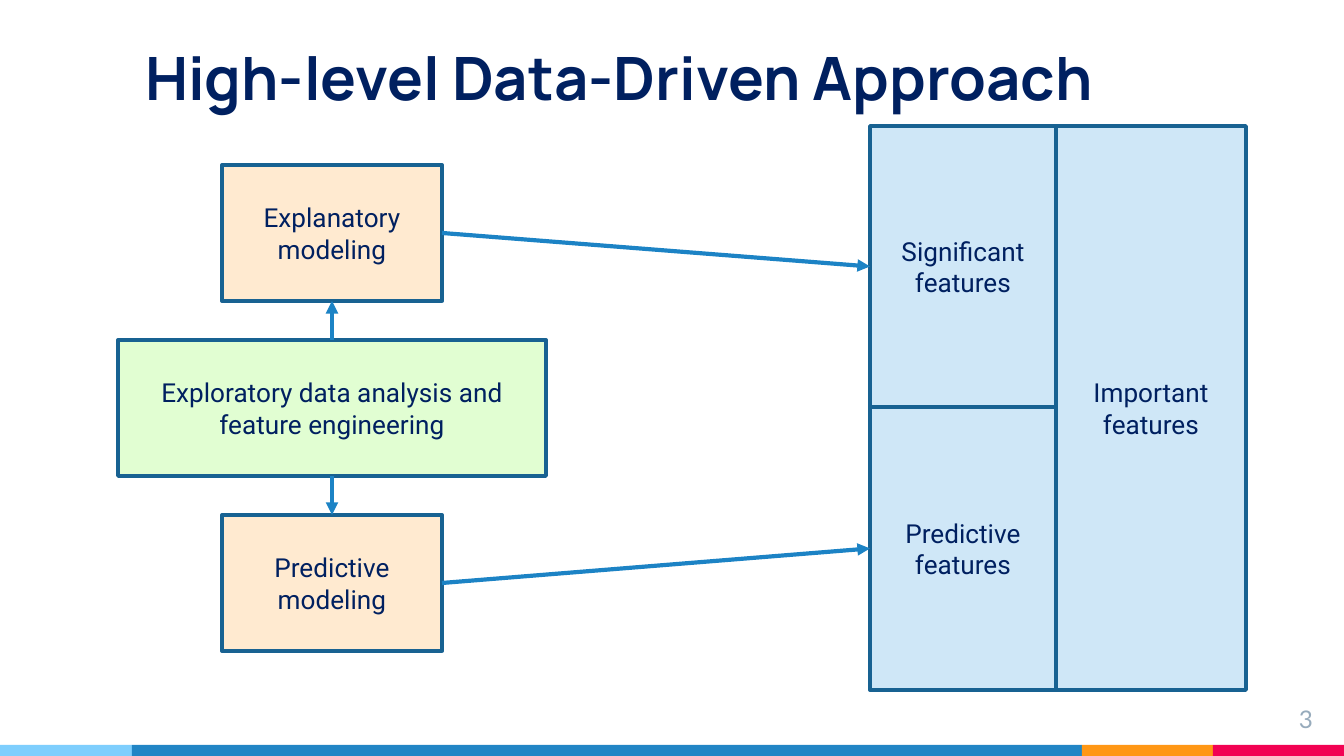
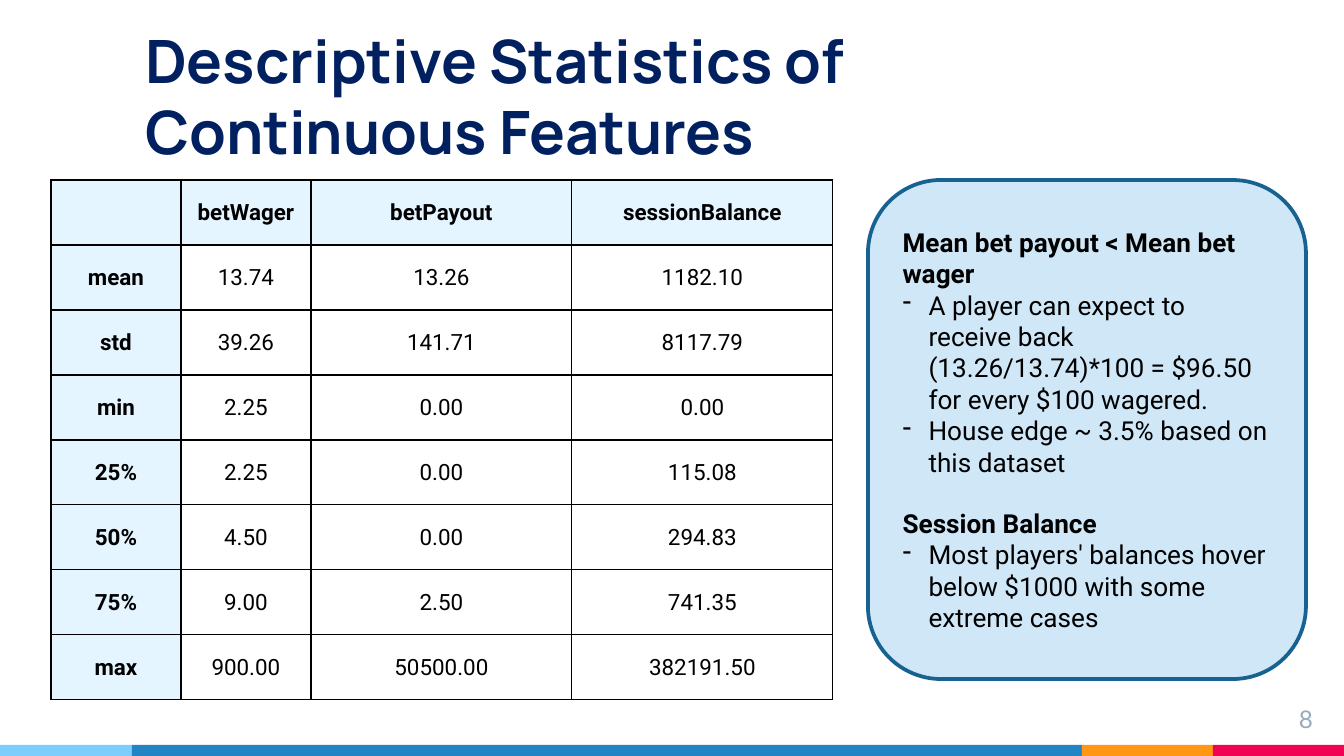
from dataclasses import dataclass

from lxml import etree
from pptx import Presentation
from pptx.dml.color import RGBColor
from pptx.enum.shapes import MSO_CONNECTOR, MSO_SHAPE
from pptx.enum.text import MSO_ANCHOR, MSO_AUTO_SIZE, PP_ALIGN
from pptx.oxml.ns import qn
from pptx.util import Emu, Pt

RECTANGLE, ROUNDED = MSO_SHAPE.RECTANGLE, MSO_SHAPE.ROUNDED_RECTANGLE
STRAIGHT = MSO_CONNECTOR.STRAIGHT
TOP, MIDDLE, BOTTOM = MSO_ANCHOR.TOP, MSO_ANCHOR.MIDDLE, MSO_ANCHOR.BOTTOM
LEFT, CENTER, RIGHT = PP_ALIGN.LEFT, PP_ALIGN.CENTER, PP_ALIGN.RIGHT
SIDE_TOP, SIDE_LEFT, SIDE_BOTTOM, SIDE_RIGHT = range(4)

SLIDE_WIDTH, SLIDE_HEIGHT = 1344, 756
EMU_PER_PX = 9144000 / SLIDE_WIDTH
TITLE_ONLY_LAYOUT = 5

NAVY, BLACK, GREY = "002060", "000000", "97ABBC"
PALE_BLUE, PALE_GREEN, PALE_ORANGE = "CFE7F7", "E1FED2", "FFEAD0"
HEADER_BLUE, OUTLINE, ARROW = "E5F5FF", "186292", "1C83C5"
TITLE_FONT, BODY_FONT, NUMBER_FONT = "Manrope", "Roboto", "Lato"

BAND_TOP = 745
BANDS = [(132, "7ECEFD"), (950, "2185C5"), (131, "FF9715"), (131, "F20253")]


@dataclass(frozen=True)
class Box:
    left: int
    top: int
    width: int
    height: int


@dataclass(frozen=True)
class Node:
    text: str
    box: Box
    fill: str


@dataclass(frozen=True)
class Arrow:
    start: str
    start_side: int
    end: str
    end_side: int


@dataclass(frozen=True)
class NoteLine:
    text: str
    heading: bool = False
    space_before: int = 0


NODES = [
    Node("Important features", Box(1056, 126, 190, 564), PALE_BLUE),
    Node("Predictive features", Box(870, 407, 186, 283), PALE_BLUE),
    Node("Significant features", Box(870, 126, 186, 281), PALE_BLUE),
    Node("Exploratory data analysis and feature engineering",
         Box(118, 340, 428, 136), PALE_GREEN),
    Node("Explanatory modeling", Box(222, 165, 220, 136), PALE_ORANGE),
    Node("Predictive modeling", Box(222, 515, 220, 136), PALE_ORANGE),
]
EXPLORATORY = "Exploratory data analysis and feature engineering"
ARROWS = [
    Arrow(EXPLORATORY, SIDE_TOP, "Explanatory modeling", SIDE_BOTTOM),
    Arrow("Explanatory modeling", SIDE_RIGHT, "Significant features", SIDE_LEFT),
    Arrow(EXPLORATORY, SIDE_BOTTOM, "Predictive modeling", SIDE_TOP),
    Arrow("Predictive modeling", SIDE_RIGHT, "Predictive features", SIDE_LEFT),
]

STATISTICS = [
    ["", "betWager", "betPayout", "sessionBalance"],
    ["mean", "13.74", "13.26", "1182.10"],
    ["std", "39.26", "141.71", "8117.79"],
    ["min", "2.25", "0.00", "0.00"],
    ["25%", "2.25", "0.00", "115.08"],
    ["50%", "4.50", "0.00", "294.83"],
    ["75%", "9.00", "2.50", "741.35"],
    ["max", "900.00", "50500.00", "382191.50"],
]
COLUMN_WIDTHS = [130, 130, 261, 261]
ROW_HEIGHT = 65

NOTES = [
    NoteLine("Mean bet payout < Mean bet wager", heading=True),
    NoteLine("A player can expect to receive back (13.26/13.74)*100 = $96.50 "
             "for every $100 wagered."),
    NoteLine("House edge ~ 3.5% based on this dataset"),
    NoteLine("Session Balance", heading=True, space_before=16),
    NoteLine("Most players' balances hover below $1000 with some extreme cases"),
]
NOTE_INDENT = 26


def px(length: int) -> Emu:
    return Emu(round(length * EMU_PER_PX))


def frame(box: Box) -> tuple:
    return px(box.left), px(box.top), px(box.width), px(box.height)


def color(value: str) -> RGBColor:
    return RGBColor.from_string(value)


def solid_fill(parent, value: str) -> None:
    fill = etree.SubElement(parent, qn("a:solidFill"))
    etree.SubElement(fill, qn("a:srgbClr"), val=value)


def style_paragraph(paragraph, size: int, font_name: str, font_color: str,
                    alignment=LEFT, bold: bool = False) -> None:
    paragraph.alignment = alignment
    font = paragraph.font
    font.size, font.name, font.bold = Pt(size), font_name, bold
    font.color.rgb = color(font_color)


def set_insets(text_frame, inset: int) -> None:
    text_frame.margin_left = text_frame.margin_right = px(inset)
    text_frame.margin_top = text_frame.margin_bottom = px(inset)


def add_panel(slide, kind, box: Box, fill: str, outlined: bool = True):
    shape = slide.shapes.add_shape(kind, *frame(box))
    shape.shadow.inherit = False
    shape.fill.solid()
    shape.fill.fore_color.rgb = color(fill)
    if outlined:
        shape.line.color.rgb = color(OUTLINE)
        shape.line.width = Pt(2)
    else:
        shape.line.fill.background()
    return shape


def add_base_slide(presentation, title: str, title_top: int, number: str):
    """Add a slide with its title, colour bands and page number."""
    slide = presentation.slides.add_slide(
        presentation.slide_layouts[TITLE_ONLY_LAYOUT])

    left = 0
    for width, fill in BANDS:
        band = Box(left, BAND_TOP, width, SLIDE_HEIGHT - BAND_TOP)
        add_panel(slide, RECTANGLE, band, fill, outlined=False)
        left += width

    heading = slide.shapes.title
    heading.left, heading.top, heading.width, heading.height = frame(
        Box(132, title_top, 1080, 126))
    text_frame = heading.text_frame
    text_frame.text = title
    text_frame.auto_size = MSO_AUTO_SIZE.NONE
    text_frame.vertical_anchor = BOTTOM
    set_insets(text_frame, 13)
    style_paragraph(text_frame.paragraphs[0], 32, TITLE_FONT, NAVY, bold=True)

    page = slide.shapes.add_textbox(*frame(Box(1246, 691, 80, 46))).text_frame
    page.text = number
    page.word_wrap = True
    page.vertical_anchor = TOP
    set_insets(page, 13)
    style_paragraph(page.paragraphs[0], 13, NUMBER_FONT, GREY, RIGHT)
    return slide


def add_node(slide, node: Node):
    shape = add_panel(slide, RECTANGLE, node.box, node.fill)
    shape.text_frame.text = node.text
    shape.text_frame.vertical_anchor = MIDDLE
    style_paragraph(shape.text_frame.paragraphs[0], 14, BODY_FONT, NAVY, CENTER)
    return shape


def add_arrow(slide, arrow: Arrow, shapes: dict) -> None:
    connector = slide.shapes.add_connector(STRAIGHT, 0, 0, 0, 0)
    connector.begin_connect(shapes[arrow.start], arrow.start_side)
    connector.end_connect(shapes[arrow.end], arrow.end_side)
    connector.line.color.rgb = color(ARROW)
    connector.line.width = Pt(2.25)
    properties = connector._element.spPr
    etree.SubElement(properties.find(qn("a:ln")), qn("a:tailEnd"), type="triangle")
    etree.SubElement(properties, qn("a:effectLst"))


def set_cell_borders(cell) -> None:
    properties = cell._tc.get_or_add_tcPr()
    for side in ("lnL", "lnR", "lnT", "lnB"):
        border = etree.SubElement(properties, qn(f"a:{side}"), w=str(Pt(0.75)))
        solid_fill(border, BLACK)


def add_statistics_table(slide) -> None:
    box = Box(51, 180, sum(COLUMN_WIDTHS), ROW_HEIGHT * len(STATISTICS))
    table = slide.shapes.add_table(
        len(STATISTICS), len(COLUMN_WIDTHS), *frame(box)).table
    table.first_row = table.horz_banding = False
    for column, width in zip(table.columns, COLUMN_WIDTHS):
        column.width = px(width)
    for row_index, values in enumerate(STATISTICS):
        table.rows[row_index].height = px(ROW_HEIGHT)
        for column_index, value in enumerate(values):
            is_header = row_index == 0 or column_index == 0
            cell = table.cell(row_index, column_index)
            cell.text = value
            cell.vertical_anchor = MIDDLE
            set_cell_borders(cell)
            if is_header:
                cell.fill.solid()
                cell.fill.fore_color.rgb = color(HEADER_BLUE)
            else:
                cell.fill.background()
            style_paragraph(cell.text_frame.paragraphs[0], 12, BODY_FONT,
                            BLACK, CENTER, bold=is_header)


def add_dash_bullet(paragraph) -> None:
    properties = paragraph._p.get_or_add_pPr()
    properties.set("marL", str(px(NOTE_INDENT)))
    properties.set("indent", str(-px(NOTE_INDENT)))
    bullet_color = etree.SubElement(properties, qn("a:buClr"))
    etree.SubElement(bullet_color, qn("a:srgbClr"), val=BLACK)
    etree.SubElement(properties, qn("a:buChar"), char="-")


def add_notes_panel(slide) -> None:
    panel = add_panel(slide, ROUNDED, Box(868, 180, 438, 499), PALE_BLUE)
    text_frame = panel.text_frame
    text_frame.vertical_anchor = MIDDLE
    text_frame.text = "\n".join(note.text for note in NOTES)
    for paragraph, note in zip(text_frame.paragraphs, NOTES):
        if not note.heading:
            add_dash_bullet(paragraph)
        paragraph.space_before = Pt(note.space_before)
        style_paragraph(paragraph, 14, BODY_FONT, BLACK, bold=note.heading)


def build_approach_slide(presentation) -> None:
    slide = add_base_slide(presentation, "High-level Data-Driven Approach", 0, "3")
    shapes = {node.text: add_node(slide, node) for node in NODES}
    for arrow in ARROWS:
        add_arrow(slide, arrow, shapes)


def build_statistics_slide(presentation) -> None:
    slide = add_base_slide(
        presentation, "Descriptive Statistics of Continuous Features", 54, "8")
    add_statistics_table(slide)
    add_notes_panel(slide)


def main() -> None:
    presentation = Presentation()
    presentation.slide_width = px(SLIDE_WIDTH)
    presentation.slide_height = px(SLIDE_HEIGHT)
    build_approach_slide(presentation)
    build_statistics_slide(presentation)
    presentation.save("out.pptx")


if __name__ == "__main__":
    main()
